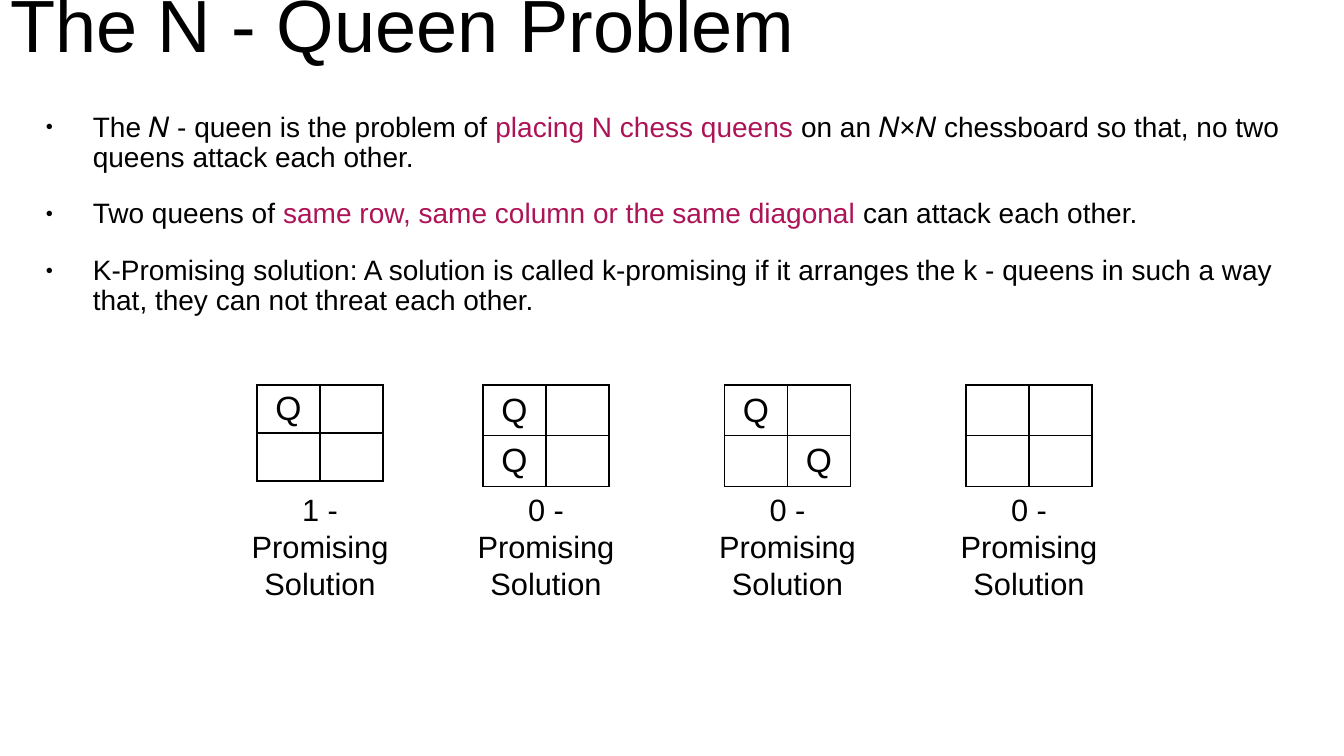
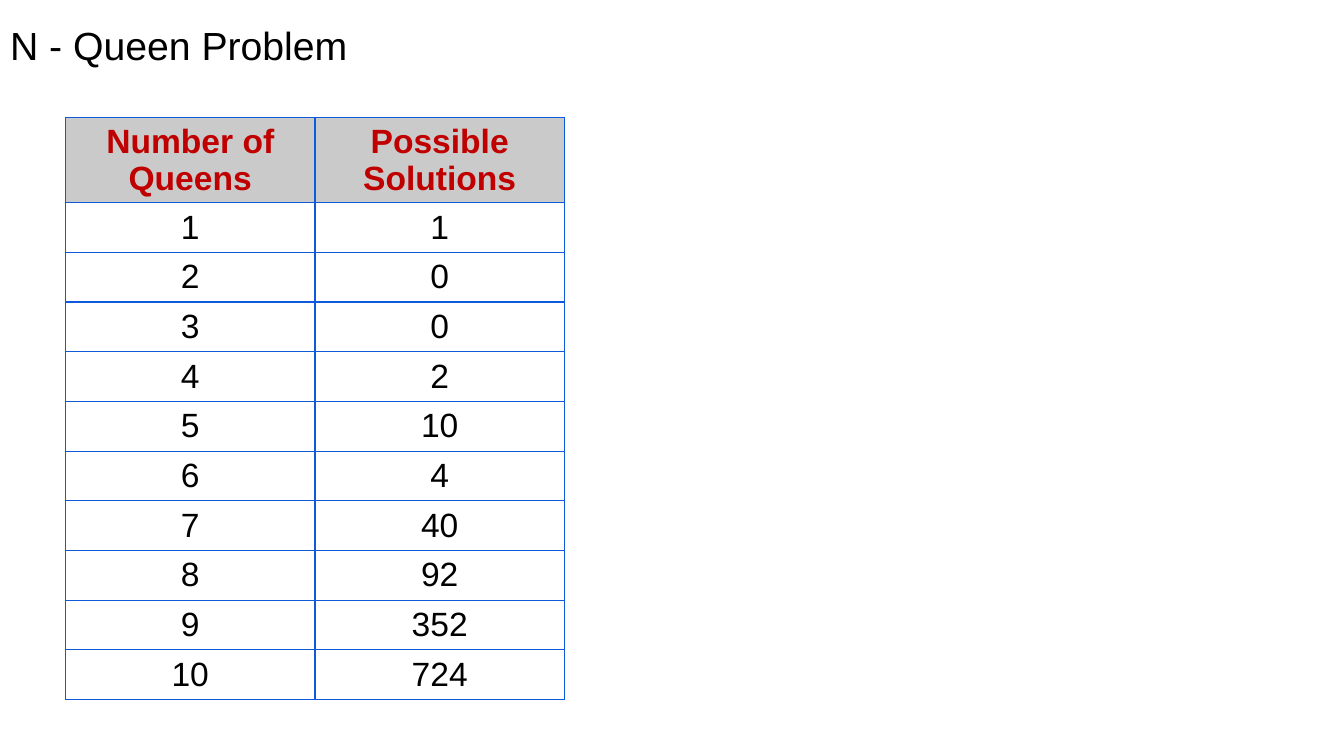
import pptx
import pptx.util
import pptx.dml.color
import pptx.enum.text
import pptx.oxml
import pptx.oxml.ns

Pt = pptx.util.Pt
RGB = pptx.dml.color.RGBColor
ALIGN = pptx.enum.text.PP_ALIGN
ANCHOR = pptx.enum.text.MSO_ANCHOR
FIT = pptx.enum.text.MSO_AUTO_SIZE

BLACK = RGB(0x00, 0x00, 0x00)
PINK = RGB(0xAD, 0x14, 0x57)
RED = RGB(0xC0, 0x00, 0x00)
GREY = RGB(0xCA, 0xCA, 0xCA)
BLUE = RGB(0x0D, 0x5B, 0xDC)
FONT = "Arial"
WIDE, HIGH = 960, 540

POINTS = [
    [("The 𝑁 - queen is the problem of ", BLACK),
     ("placing N chess queens ", PINK),
     ("on an 𝑁×𝑁 chessboard so that, no two queens attack each other.", BLACK)],
    [("Two queens of ", BLACK),
     ("same row, same column or the same diagonal ", PINK),
     ("can attack each other.", BLACK)],
    [("K-Promising solution: A solution is called k-promising if it arranges "
      "the k - queens in such a way that, they can not threat each other.", BLACK)],
]
BOARDS = [
    (183.6, 34.3, ["Q", ""], ["", ""], "1 - Promising Solution"),
    (345, 36.3, ["Q", ""], ["Q", ""], "0 - Promising Solution"),
    (517.5, 36.3, ["Q", ""], ["", "Q"], "0 - Promising Solution"),
    (690, 36.3, ["", ""], ["", ""], "0 - Promising Solution"),
]
HEAD = ["Number of Queens", "Possible Solutions"]
COUNTS = [1, 0, 0, 2, 10, 4, 40, 92, 352, 724]


def style(para, size, color=BLACK, bold=False, align=ALIGN.CENTER):
    para.alignment = align
    font = para.font
    font.name, font.size, font.bold = FONT, Pt(size), bold
    font.color.rgb = color


def place(shape, left, top, width, height):
    shape.left, shape.top = Pt(left), Pt(top)
    shape.width, shape.height = Pt(width), Pt(height)


def pad(frame, inset):
    frame.margin_left = frame.margin_right = Pt(inset)
    frame.margin_top = frame.margin_bottom = Pt(inset)
    frame.word_wrap = True
    frame.auto_size = FIT.NONE


def start(deck, layout, text, size):
    slide = deck.slides.add_slide(deck.slide_layouts[layout])
    title = slide.shapes.title
    place(title, 0, 0, WIDE, 56.2)
    frame = title.text_frame
    pad(frame, 7.2)
    frame.vertical_anchor = ANCHOR.BOTTOM
    frame.text = text
    para = frame.paragraphs[0]
    para.line_spacing = 0.9
    style(para, size, align=ALIGN.LEFT)
    return slide


def bullet(para):
    props = para._p.get_or_add_pPr()
    props.set("marL", str(Pt(45.4)))
    props.set("indent", str(Pt(-33.8)))
    space = pptx.oxml.ns.nsdecls("a")
    for part in (f'<a:buClr {space}><a:srgbClr val="{BLACK}"/></a:buClr>',
                 f'<a:buSzPct {space} val="45000"/>',
                 f'<a:buFont {space} typeface="{FONT}"/>',
                 f'<a:buChar {space} char="●"/>'):
        props.append(pptx.oxml.parse_xml(part))


def fill_list(body, left, top, width, height):
    place(body, left, top, width, height)
    frame = body.text_frame
    pad(frame, 0)
    for index, parts in enumerate(POINTS):
        para = frame.add_paragraph() if index else frame.paragraphs[0]
        bullet(para)
        style(para, 20, align=ALIGN.LEFT)
        para.line_spacing = 0.9
        para.space_before = Pt(18.9 if index else 0)
        for text, color in parts:
            run = para.add_run()
            run.text = text
            run.font.color.rgb = color


def border(cell, color):
    props = cell._tc.get_or_add_tcPr()
    space = pptx.oxml.ns.nsdecls("a")
    for index, side in enumerate("LRTB"):
        props.insert(index, pptx.oxml.parse_xml(
            f'<a:ln{side} {space} w="{Pt(1)}"><a:solidFill>'
            f'<a:srgbClr val="{color}"/></a:solidFill></a:ln{side}>'))


def add_grid(slide, left, top, width, heights, rows, edge, head=False):
    shape = slide.shapes.add_table(len(rows), len(rows[0]), Pt(left), Pt(top),
                                   Pt(width), Pt(sum(heights)))
    table = shape.table
    table.first_row = table.horz_banding = False
    for column in table.columns:
        column.width = Pt(width / len(rows[0]))
    for index, row in enumerate(rows):
        table.rows[index].height = Pt(heights[index])
        top_row = head and index == 0
        for spot, text in enumerate(row):
            cell = table.cell(index, spot)
            cell.text = text
            cell.margin_top = cell.margin_bottom = Pt(3.6)
            cell.vertical_anchor = ANCHOR.MIDDLE
            if top_row:
                cell.fill.solid()
                cell.fill.fore_color.rgb = GREY
            else:
                cell.fill.background()
            border(cell, edge)
            style(cell.text_frame.paragraphs[0], 24 if text else 18,
                  RED if top_row else BLACK, top_row)


def add_board(slide, left, top, width, side, rows, text):
    add_grid(slide, left, top, width, [side, side], rows, BLACK)
    wide = 133.2
    label = slide.shapes.add_textbox(Pt(left + (width - wide) / 2), Pt(top + 72),
                                     Pt(wide), Pt(60.5))
    frame = label.text_frame
    frame.word_wrap = True
    frame.text = text
    style(frame.paragraphs[0], 22)


def add_rules(deck):
    slide = start(deck, 1, "The N - Queen Problem", 52.8)
    fill_list(slide.placeholders[1], 20.9, 80.6, 918, 427.7)
    for left, side, upper, lower, text in BOARDS:
        add_board(slide, left, 275, 90, side, [upper, lower], text)


def add_counts(deck):
    slide = start(deck, 5, "N - Queen Problem", 28)
    rows = [HEAD] + [[str(size), str(count)] for size, count in enumerate(COUNTS, 1)]
    heights = [60.8] + [35.5] * len(COUNTS)
    add_grid(slide, 46.8, 84, 356.4, heights, rows, BLUE, head=True)


def main():
    deck = pptx.Presentation()
    deck.slide_width, deck.slide_height = Pt(WIDE), Pt(HIGH)
    add_rules(deck)
    add_counts(deck)
    deck.save("out.pptx")


if __name__ == "__main__":
    main()
